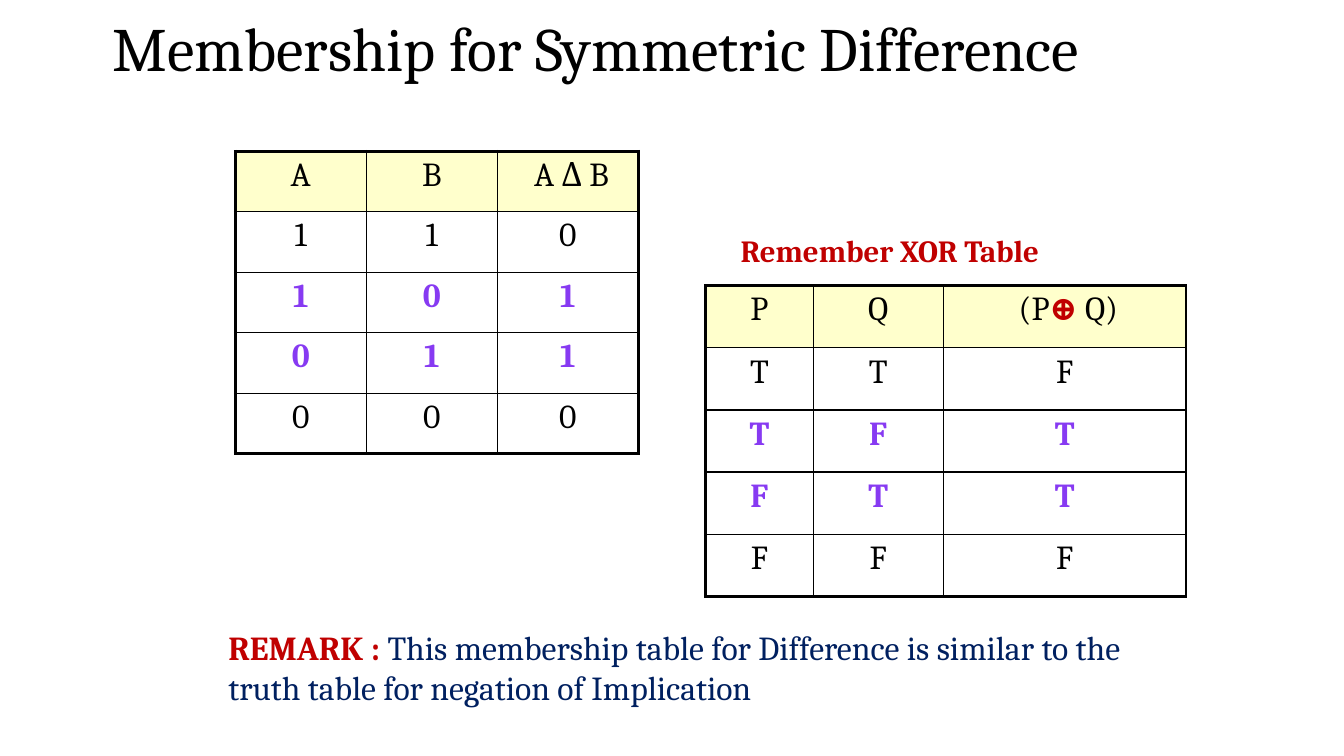
from lxml import etree
from pptx import Presentation
from pptx import util as u
from pptx.dml.color import RGBColor
from pptx.enum import text
from pptx.oxml.ns import qn

COLUMNS, ROWS = 80, 45
BLACK, RED, VIOLET, NAVY, CREAM = "000000", "C00000", "873AF2", "002060", "FFFFCC"


def rgb(value):
    return RGBColor.from_string(value)


class Sheet:
    """Style and current slide; lengths are columns and rows of an 80 by 45 grid."""

    font = "Cambria"
    thin, thick = 1, 2.25

    def __init__(self, deck):
        self.col = deck.slide_width / COLUMNS
        self.row = deck.slide_height / ROWS
        self.slide = deck.slides.add_slide(deck.slide_layouts[5])

    def box(self, left, top, width, height):
        return [round(n) for n in (left * self.col, top * self.row,
                                   width * self.col, height * self.row)]

    def add_runs(self, paragraph, runs, size):
        """Each run is (words, colour, bold)."""
        for words, colour, bold in runs:
            run = paragraph.add_run()
            run.text = words
            run.font.name = self.font
            run.font.size = u.Pt(size)
            run.font.bold = bold
            run.font.color.rgb = rgb(colour)

    def title(self, words, place):
        heading = self.slide.shapes.title
        heading.left, heading.top, heading.width, heading.height = self.box(*place)
        frame = heading.text_frame
        frame.auto_size = text.MSO_AUTO_SIZE.NONE
        frame.vertical_anchor = text.MSO_ANCHOR.BOTTOM
        paragraph = frame.paragraphs[0]
        paragraph.alignment = text.PP_ALIGN.LEFT
        paragraph.line_spacing = 0.9
        self.add_runs(paragraph, [(words, BLACK, False)], 44)

    def note(self, runs, place, size, align, hanging=0):
        """Text indented half an inch, its first line pulled back by hanging inches."""
        frame = self.slide.shapes.add_textbox(*self.box(*place)).text_frame
        frame.word_wrap = True
        paragraph = frame.paragraphs[0]
        paragraph.alignment = align
        props = paragraph._p.get_or_add_pPr()
        props.set("marL", str(u.Inches(0.5)))
        props.set("indent", str(-u.Inches(hanging)))
        self.add_runs(paragraph, runs, size)

    def borders(self, cell, widths):
        props = cell._tc.get_or_add_tcPr()
        for side, width in zip("LRTB", widths):
            line = etree.SubElement(props, qn(f"a:ln{side}"), w=str(u.Pt(width)))
            fill = etree.SubElement(line, qn("a:solidFill"))
            etree.SubElement(fill, qn("a:srgbClr"), val=BLACK)

    def truth_table(self, header, body, left, top, widths, height):
        """Header cells are lists of runs; body rows are strings, one character a cell."""
        plain, marked = (BLACK, False), (VIOLET, True)
        looks = [plain, marked, marked, plain]
        lines = [header] + [[[(value, *look)] for value in values]
                            for values, look in zip(body, looks)]
        last_row, last_col = len(lines) - 1, len(widths) - 1
        place = self.box(left, top, sum(widths), height * len(lines))
        table = self.slide.shapes.add_table(len(lines), len(widths), *place).table
        table.first_row = table.horz_banding = False
        for column, width in zip(table.columns, widths):
            column.width = round(width * self.col)
        for r, line in enumerate(lines):
            table.rows[r].height = round(height * self.row)
            for c, runs in enumerate(line):
                cell = table.cell(r, c)
                outer = (c == 0, c == last_col, r == 0, r == last_row)
                self.borders(cell, [self.thick if edge else self.thin for edge in outer])
                if r == 0:
                    cell.fill.solid()
                    cell.fill.fore_color.rgb = rgb(CREAM)
                else:
                    cell.fill.background()
                paragraph = cell.text_frame.paragraphs[0]
                paragraph.alignment = text.PP_ALIGN.CENTER
                self.add_runs(paragraph, runs, 24)


def main():
    deck = Presentation()
    deck.slide_width, deck.slide_height = u.Inches(13.33), u.Inches(7.5)
    sheet = Sheet(deck)

    sheet.title("Membership for Symmetric Difference", (6.1, 0.2, 66.9, 5.15))

    membership_header = [[(name, BLACK, False)] for name in ("A", "B", " A Δ B")]
    sheet.truth_table(membership_header, ["110", "101", "011", "000"],
                      14, 9, [7.8, 7.8, 8.4], 3.6)

    xor_header = [[("P", BLACK, False)], [("Q", BLACK, False)],
                  [(" (P", BLACK, False), ("⊕ ", RED, True), ("Q)", BLACK, False)]]
    sheet.truth_table(xor_header, ["TTF", "TFT", "FTT", "FFF"],
                      42, 17, [6.4, 7.75, 14.45], 3.7)

    sheet.note([("Remember XOR Table", RED, True)], (43.5, 13.5, 24.5, 2.8),
               22, text.PP_ALIGN.JUSTIFY, hanging=0.5)
    sheet.note([("REMARK : ", RED, True),
                ("This membership table for Difference is similar to the "
                 "truth table for negation of Implication", NAVY, False)],
               (10, 37, 58.5, 5.45), 24, text.PP_ALIGN.LEFT)

    deck.save("out.pptx")


if __name__ == "__main__":
    main()
